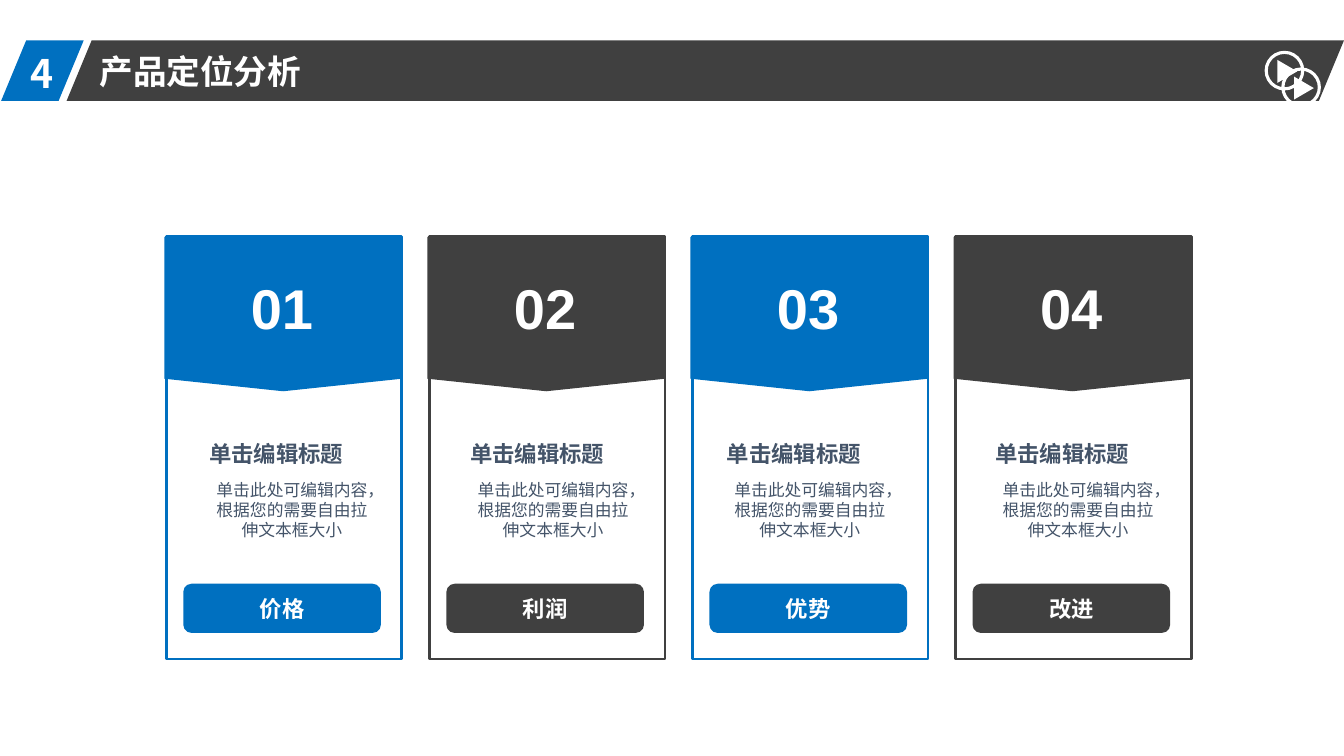
import pptx
import pptx.util
import pptx.dml.color
import pptx.enum.shapes
import pptx.enum.text
import pptx.oxml
import pptx.oxml.ns

Cm = pptx.util.Cm
Pt = pptx.util.Pt
RGB = pptx.dml.color.RGBColor
KIND = pptx.enum.shapes.MSO_SHAPE
ALIGN = pptx.enum.text.PP_ALIGN

BLUE = RGB(0x00, 0x70, 0xC0)
DARK = RGB(0x40, 0x40, 0x40)
WHITE = RGB(0xFF, 0xFF, 0xFF)
SLATE = RGB(0x44, 0x54, 0x69)
SANS = "Noto Sans CJK SC"
ARIAL = "Arial"

# Button label, colour, shift of the text block from the card's left edge
CARDS = [
    ("价格", BLUE, -0.48),
    ("利润", DARK, -0.53),
    ("优势", BLUE, -0.69),
    ("改进", DARK, -0.56),
]
TITLE = "单击编辑标题"
BODY = "单击此处可编辑内容，根据您的需要自由拉伸文本框大小"


def draw(shapes, kind, box, fill=None, line=None, width=2, adj=None):
    """Add a preset shape; box is left, top, width, height in cm."""
    shape = shapes.add_shape(kind, *map(Cm, box))
    shape.shadow.inherit = False
    if fill is None:
        shape.fill.background()
    else:
        shape.fill.solid()
        shape.fill.fore_color.rgb = fill
    if line is None:
        shape.line.fill.background()
    else:
        shape.line.color.rgb = line
        shape.line.width = Pt(width)
    if adj is not None:
        shape.adjustments[0] = adj
    return shape


def turn(shapes, kind, box, fill, adj):
    """Add a shape turned by 90 degrees that covers the box as seen."""
    left, top, wide, high = box
    flat = (left + (wide - high) / 2, top + (high - wide) / 2, high, wide)
    draw(shapes, kind, flat, fill, adj=adj).rotation = 90


def write(shape, text, size, color, face, bold=True, align=ALIGN.CENTER):
    frame = shape.text_frame
    frame.word_wrap = True
    para = frame.paragraphs[0]
    para.text = text
    para.alignment = align
    font = para.font
    font.size = Pt(size)
    font.bold = bold
    font.name = face
    font.color.rgb = color
    # East Asian typeface follows the Latin one
    east = pptx.oxml.parse_xml(
        f'<a:ea {pptx.oxml.ns.nsdecls("a")} typeface="{face}"/>')
    font._element.find(pptx.oxml.ns.qn("a:latin")).addnext(east)


def label(shapes, box, *args, inset=True, **style):
    text = shapes.add_textbox(*map(Cm, box))
    if not inset:
        frame = text.text_frame
        frame.margin_left = frame.margin_right = 0
        frame.margin_top = frame.margin_bottom = 0
    write(text, *args, **style)


def icon(shapes, left, top):
    group = shapes.add_group_shape().shapes
    draw(group, KIND.OVAL, (left, top, 0.92, 0.92), line=WHITE, width=2.25)
    turn(group, KIND.ISOSCELES_TRIANGLE,
         (left + 0.28, top + 0.19, 0.5, 0.58), WHITE, 0.5)


def header(shapes, left, top, wide, high):
    # Slanted bars
    draw(shapes, KIND.PARALLELOGRAM,
         (left + 1.65, top, wide - 1.65, high), DARK, adj=0.415)
    draw(shapes, KIND.PARALLELOGRAM, (left, top, 2.08, high), BLUE, adj=0.415)
    # Section number and heading
    label(shapes, (left + 0.48, top + 0.1, 1.75, 1.45),
          "4", 28, WHITE, SANS, align=ALIGN.LEFT)
    label(shapes, (left + 2.23, top + 0.15, 6.96, 1.3),
          "产品定位分析", 24, WHITE, SANS, align=ALIGN.LEFT)
    # Play icons
    for step in (0, 0.42):
        icon(shapes, left + wide - 1.96 + step, top + 0.3 + step)


def card(shapes, left, top, wide, high, number, name, color, shift):
    # Frame, banner and button
    draw(shapes, KIND.RECTANGLE, (left, top, wide, high), WHITE, color)
    turn(shapes, KIND.PENTAGON,
         (left - 0.05, top, wide + 0.05, 3.89), color, 0.081)
    button = draw(shapes, KIND.ROUNDED_RECTANGLE,
                  (left + 0.43, top + 8.74, 4.98, 1.24), color, adj=0.167)
    write(button, name, 16, WHITE, ARIAL)
    label(shapes, (left + 1.25, top + 0.79, 3.33, 1.96),
          f"{number:02}", 40, WHITE, ARIAL)
    # Title and body
    side = left + shift
    label(shapes, (side, top + 5.13, 6.5, 0.69),
          TITLE, 16, SLATE, ARIAL, inset=False)
    label(shapes, (side + 1.73, top + 6.12, 3.84, 1.55),
          BODY, 12, SLATE, ARIAL, inset=False, bold=False)


def main():
    deck = pptx.Presentation()
    deck.slide_width = Cm(33.87)
    deck.slide_height = Cm(19.05)
    shapes = deck.slides.add_slide(deck.slide_layouts[6]).shapes
    header(shapes, 0.03, 1.02, 33.84, 1.52)
    for i, (name, color, shift) in enumerate(CARDS):
        card(shapes, 4.19 + 6.63 * i, 5.97, 5.94, 10.64,
             i + 1, name, color, shift)
    deck.save("out.pptx")


if __name__ == "__main__":
    main()
